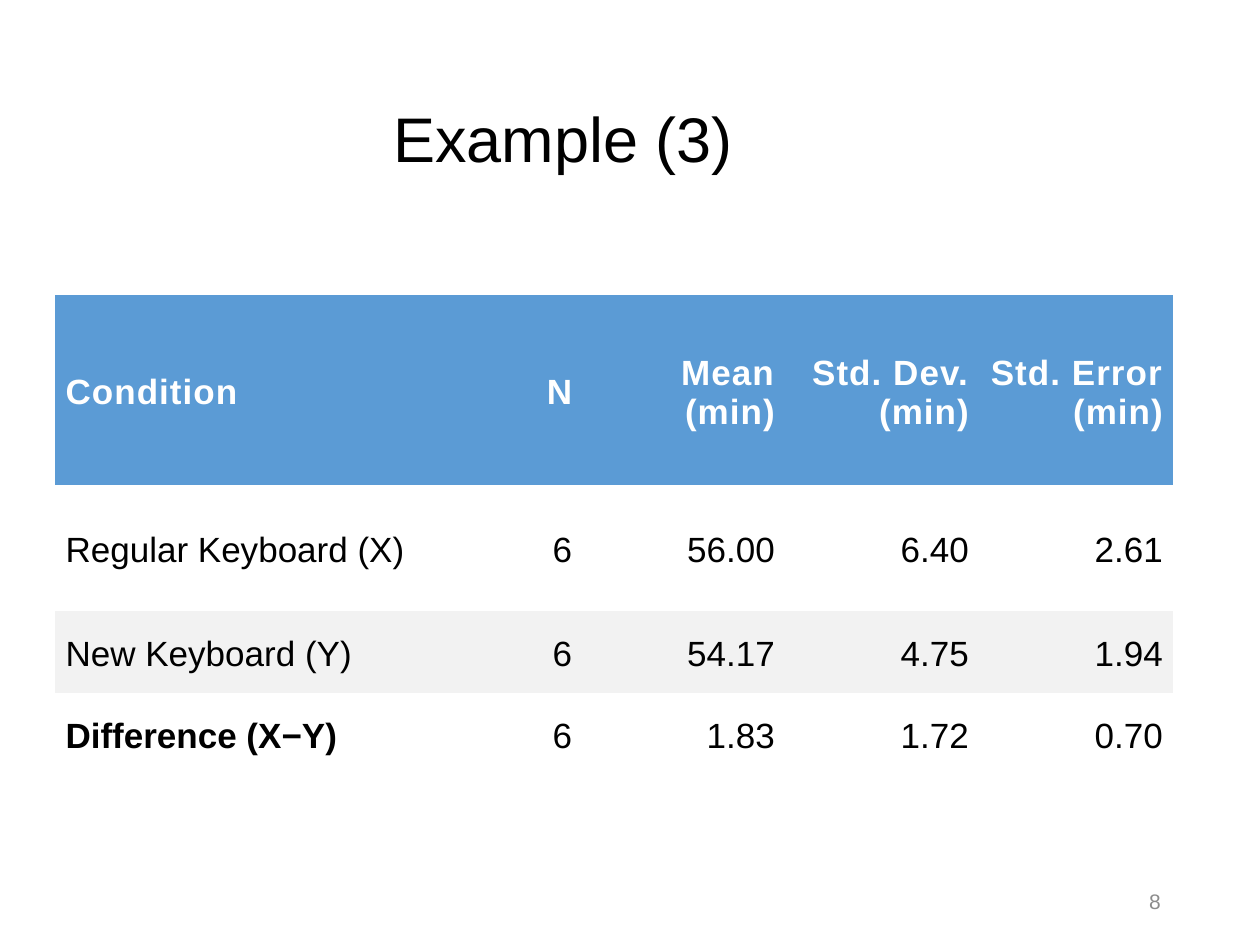
from pptx import Presentation
from pptx.dml.color import RGBColor
from pptx.enum.text import MSO_ANCHOR, PP_ALIGN
from pptx.util import Inches, Pt

LEFT, RIGHT = PP_ALIGN.LEFT, PP_ALIGN.RIGHT
MIDDLE = MSO_ANCHOR.MIDDLE
FONT = "Arial"
COLORS = {"text": "000000", "header": "5B9BD5", "header_text": "FFFFFF",
          "band": "F2F2F2", "number": "8C8C8C"}
PLAIN_TABLE_STYLE = "{2D5ABB26-0587-4C30-8999-92F81FD0307C}"

COLUMN_WIDTHS = [3.3, 0.88, 1.61, 1.54, 1.54]
ROW_HEIGHTS = [1.51, 1, 0.65, 0.65]
ROW_FILLS = ["header", None, "band", None]
ROWS = [
    ["Condition", "N", "Mean (min)", "Std. Dev. (min)", "Std. Error (min)"],
    ["Regular Keyboard (X)", "6", "56.00", "6.40", "2.61"],
    ["New Keyboard (Y)", "6", "54.17", "4.75", "1.94"],
    ["Difference (X−Y)", "6", "1.83", "1.72", "0.70"],
]


def rgb(name):
    return RGBColor.from_string(COLORS[name])


def add_span(para, text, size, color="text", bold=False, align=LEFT):
    para.alignment = align
    span = para.add_run()
    span.text = text
    span.font.name = FONT
    span.font.size = Pt(size)
    span.font.bold = bold
    span.font.color.rgb = rgb(color)
    return span


def place_title(page, box, text):
    title = page.shapes.title
    title.left, title.top, title.width, title.height = map(Inches, box)
    title.text_frame.vertical_anchor = MIDDLE
    para = title.text_frame.paragraphs[0]
    para.line_spacing = 0.9
    add_span(para, text, 36)


def place_page_number(page, box, text):
    frame = page.shapes.add_textbox(*map(Inches, box)).text_frame
    frame.word_wrap = True
    frame.vertical_anchor = MIDDLE
    add_span(frame.paragraphs[0], text, 12, "number", align=RIGHT)


def fill_cell(cell, text, fill, is_header, is_bold, align):
    cell.vertical_anchor = MIDDLE
    cell.margin_left = cell.margin_right = cell.margin_top = Inches(0.08)
    cell.margin_bottom = Inches(0.04)
    if fill:
        cell.fill.solid()
        cell.fill.fore_color.rgb = rgb(fill)
    else:
        cell.fill.background()
    color = "header_text" if is_header else "text"
    span = add_span(cell.text_frame.paragraphs[0], text, 20, color, is_bold, align)
    if is_header:
        span.font._element.set("spc", "60")


def place_table(page, left, top):
    box = map(Inches, (left, top, sum(COLUMN_WIDTHS), sum(ROW_HEIGHTS)))
    frame = page.shapes.add_table(len(ROWS), len(COLUMN_WIDTHS), *box)
    table = frame.table
    table.horz_banding = False
    table._tbl.tblPr.find("{*}tableStyleId").text = PLAIN_TABLE_STYLE
    for column, width in zip(table.columns, COLUMN_WIDTHS):
        column.width = Inches(width)
    for row, height in zip(table.rows, ROW_HEIGHTS):
        row.height = Inches(height)
    last = len(ROWS) - 1
    for r, (values, fill) in enumerate(zip(ROWS, ROW_FILLS)):
        for c, text in enumerate(values):
            is_bold = r == 0 or (r == last and c == 0)
            fill_cell(table.cell(r, c), text, fill, r == 0, is_bold,
                      RIGHT if c else LEFT)


def main():
    deck = Presentation()
    deck.slide_width, deck.slide_height = Inches(10), Inches(7.5)
    page = deck.slides.add_slide(deck.slide_layouts[5])
    place_title(page, (3.02, 0.4, 8.62, 1.45), "Example (3)")
    place_page_number(page, (7.06, 6.95, 2.25, 0.4), "8")
    place_table(page, 0.44, 2.34)
    deck.save("out.pptx")


if __name__ == "__main__":
    main()
